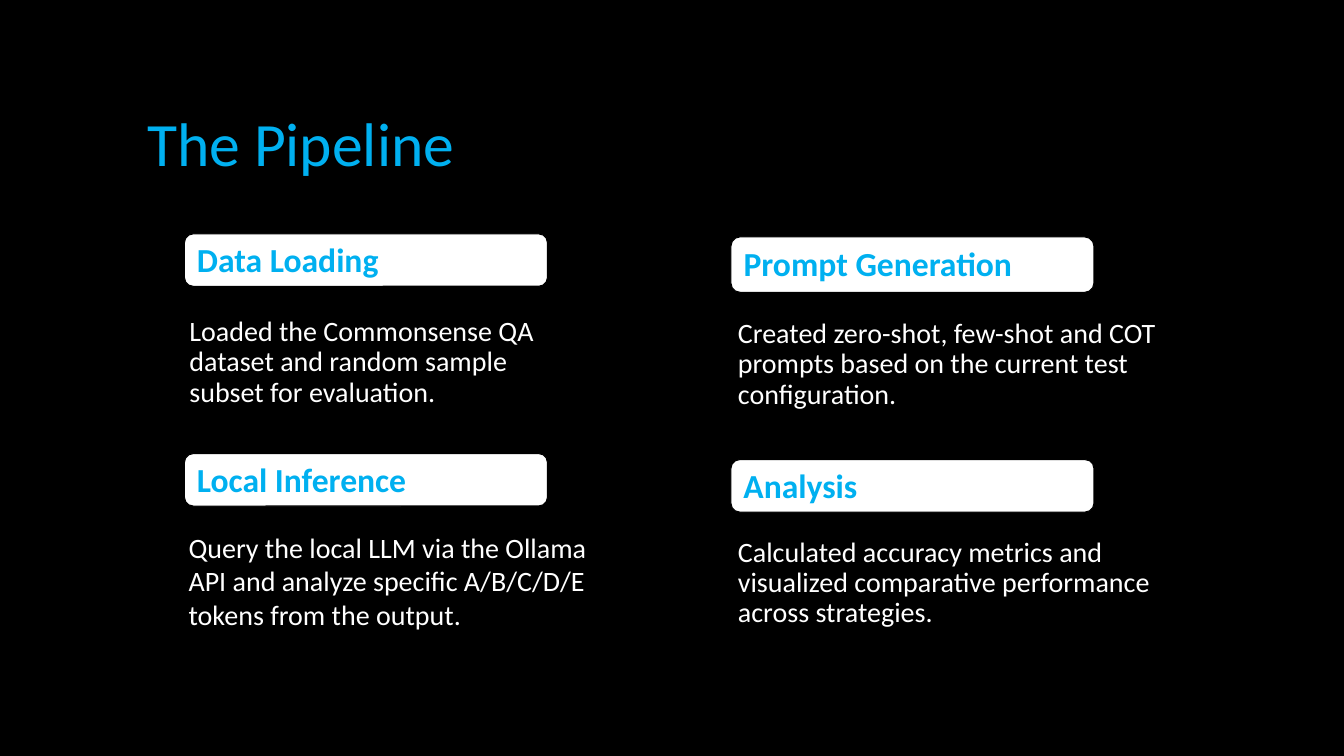
from pptx import Presentation
from pptx.dml.color import RGBColor
from pptx.enum.shapes import MSO_SHAPE
from pptx.enum.text import MSO_ANCHOR as Anchor, PP_ALIGN as Align
from pptx.util import Inches, Pt


def color(hex_code):
    return RGBColor.from_string(hex_code)


def write(frame, text, size=20, ink="FFFFFF", bold=False, spacing=None,
          inset=None, wrap=True, anchor=Anchor.TOP):
    frame.word_wrap = wrap
    frame.vertical_anchor = anchor
    if inset is not None:
        frame.margin_left = frame.margin_right = Inches(inset)
        frame.margin_top = frame.margin_bottom = Inches(inset)
    frame.text = text
    for paragraph in frame.paragraphs:
        paragraph.alignment = Align.LEFT
        paragraph.line_spacing = spacing
        paragraph.font.name = "Calibri"
        paragraph.font.size = Pt(size)
        paragraph.font.bold = bold
        paragraph.font.color.rgb = color(ink)


class PipelineSlide:
    """Holds the palette and the current slide, and adds its elements."""

    accent, paper, night = "00B0F0", "FFFFFF", "000000"

    def __init__(self, deck):
        self.slide = deck.slides.add_slide(deck.slide_layouts[6])
        backdrop = self.slide.background.fill
        backdrop.solid()
        backdrop.fore_color.rgb = color(self.night)

    def text(self, words, left, top, width, height, **style):
        box = self.slide.shapes.add_textbox(
            Inches(left), Inches(top), Inches(width), Inches(height))
        write(box.text_frame, words, **style)

    def title(self, words):
        self.text(words, 1.46, 1.18, 4.39, 0.72, size=44, ink=self.accent,
                  spacing=Pt(43), inset=0, wrap=False)

    def heading(self, words, left, top, height=0.52):
        pill = self.slide.shapes.add_shape(
            MSO_SHAPE.ROUNDED_RECTANGLE,
            Inches(left), Inches(top), Inches(3.6), Inches(height))
        pill.shadow.inherit = False
        pill.fill.solid()
        pill.fill.fore_color.rgb = color(self.paper)
        pill.line.color.rgb = color(self.night)
        pill.line.width = Pt(0.75)
        write(pill.text_frame, words, size=24, ink=self.accent, bold=True,
              spacing=Pt(27), anchor=Anchor.MIDDLE)


def main():
    deck = Presentation()
    deck.slide_width, deck.slide_height = Inches(13.33), Inches(7.5)
    pipeline = PipelineSlide(deck)
    pipeline.title("The Pipeline")

    left_column, right_column = 1.83, 7.25
    pipeline.heading("Data Loading", left_column, 2.32)
    pipeline.heading("Prompt Generation", right_column, 2.35, height=0.55)
    pipeline.heading("Local Inference", left_column, 4.5)
    pipeline.heading("Analysis", right_column, 4.56)

    pipeline.text("Loaded the Commonsense QA dataset and random sample "
                  "subset for evaluation.",
                  1.78, 3.1, 4.02, 1.14, spacing=0.9)
    pipeline.text("Created zero-shot, few-shot and COT prompts based on "
                  "the current test configuration.",
                  7.22, 3.12, 4.68, 0.84, spacing=0.9)
    pipeline.text("Query the local LLM via the Ollama\n"
                  "API and analyze specific A/B/C/D/E tokens from the output.",
                  1.87, 5.26, 4.61, 0.89, inset=0)
    pipeline.text("Calculated accuracy metrics and visualized comparative "
                  "performance across strategies.",
                  7.22, 5.29, 4.85, 1.15, spacing=0.9)
    deck.save("out.pptx")


if __name__ == "__main__":
    main()
